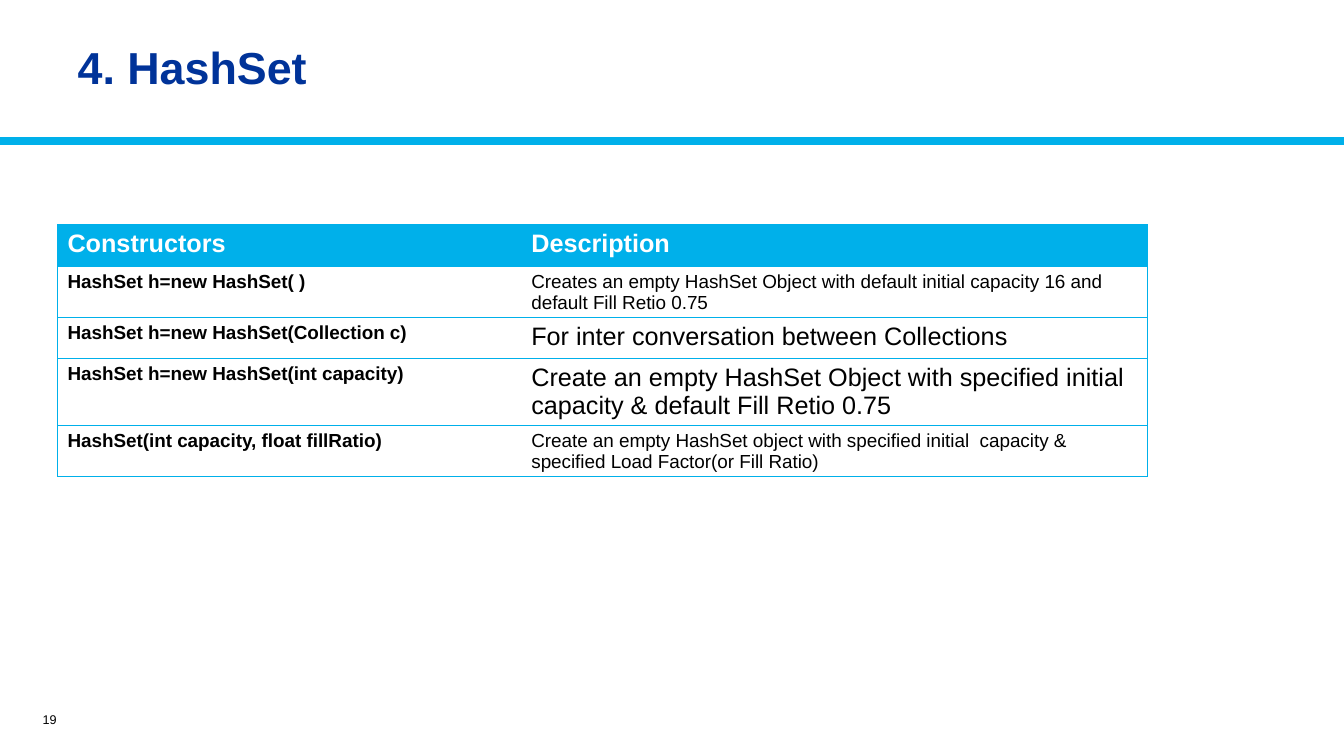
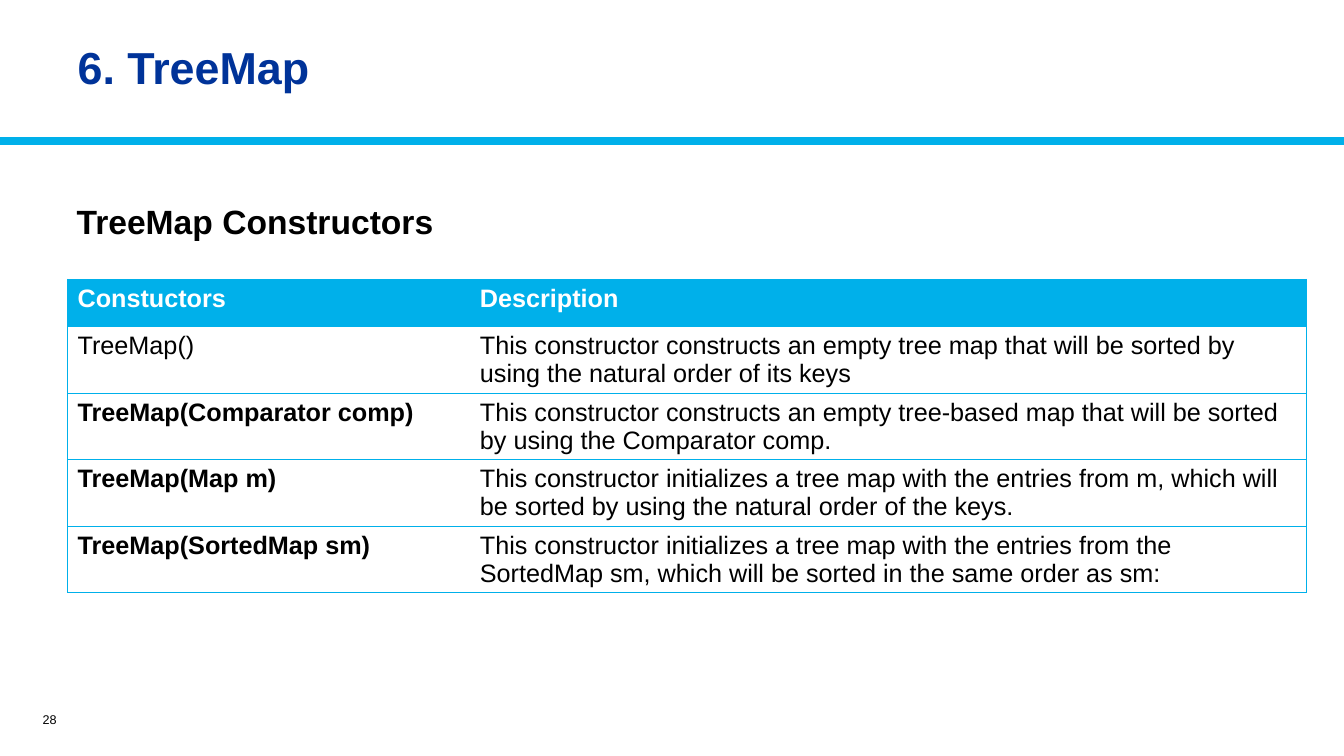
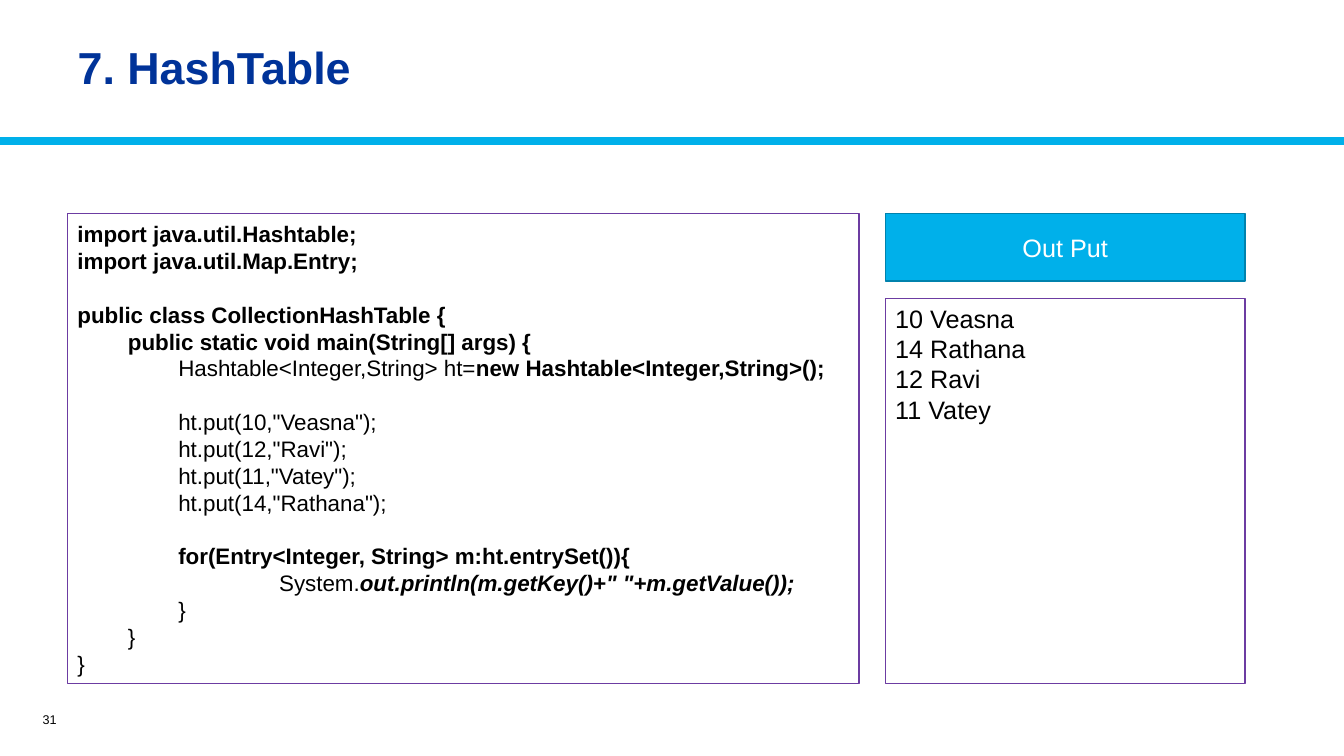
"""Builds three slides on collection classes."""
import dataclasses

import lxml.etree
import pptx
import pptx.dml.color
import pptx.enum.shapes
import pptx.enum.text
import pptx.oxml.ns
import pptx.util

Inches = pptx.util.Inches
Pt = pptx.util.Pt
qn = pptx.oxml.ns.qn
Align = pptx.enum.text.PP_ALIGN
Anchor = pptx.enum.text.MSO_ANCHOR


@dataclasses.dataclass(frozen=True)
class Theme:
    font: str = "Arial"
    sky: str = "00B0EA"
    deep: str = "0082AD"
    navy: str = "003399"
    plum: str = "6C3CA2"
    ink: str = "000000"
    paper: str = "FFFFFF"
    title: float = 32
    head: float = 24
    text: float = 18
    code: float = 16
    small: float = 13.5
    page: float = 9
    gap: float = 19.2
    plain: str = "{2D5ABB26-0587-4C30-8999-92F81FD0307C}"


LOOK = Theme()

SETS = [
    ("HashSet h=new HashSet( )",
     "Creates an empty HashSet Object with default initial capacity 16 and default Fill Retio 0.75",
     LOOK.small),
    ("HashSet h=new HashSet(Collection c)",
     "For inter conversation between Collections", LOOK.text),
    ("HashSet h=new HashSet(int capacity)",
     "Create an empty HashSet Object with specified initial capacity & default Fill Retio 0.75",
     LOOK.text),
    ("HashSet(int capacity, float fillRatio)",
     "Create an empty HashSet object with specified initial  capacity & specified Load Factor(or Fill Ratio)",
     LOOK.small),
]

MAPS = [
    ("TreeMap()", False,
     "This constructor constructs an empty tree map that will be sorted by using the natural order of its keys"),
    ("TreeMap(Comparator comp)", True,
     "This constructor constructs an empty tree-based map that will be sorted by using the Comparator comp."),
    ("TreeMap(Map m)", True,
     "This constructor initializes a tree map with the entries from m, which will be sorted by using the natural order of the keys."),
    ("TreeMap(SortedMap sm)", True,
     "This constructor initializes a tree map with the entries from the SortedMap sm, which will be sorted in the same order as sm:"),
]

BOLD = {"bold": True}
SLANT = {"bold": True, "italic": True}
CODE = [
    (0, 0, [("import java.util.Hashtable;", BOLD)]),
    (0, 0, [("import java.util.Map.Entry;", BOLD)]),
    (0, LOOK.gap, [("public class CollectionHashTable {", BOLD)]),
    (1, 0, [("public static void main(String[] args) {", BOLD)]),
    (2, 0, [("Hashtable<Integer,String> ht=", {}),
            ("new Hashtable<Integer,String>();", BOLD)]),
    (2, LOOK.gap, [('ht.put(10,"Veasna");', {})]),
    (2, 0, [('ht.put(12,"Ravi");', {})]),
    (2, 0, [('ht.put(11,"Vatey");', {})]),
    (2, 0, [('ht.put(14,"Rathana");', {})]),
    (2, LOOK.gap, [("for(Entry<Integer, String> m:ht.entrySet()){", BOLD)]),
    (4, 0, [("System.", {}),
            ('out.println(m.getKey()+" "+m.getValue());', SLANT)]),
    (2, 0, [("}", {})]),
    (1, 0, [("}", {})]),
    (0, 0, [("}", {})]),
]
NAMES = ["10 Veasna", "14 Rathana", "12 Ravi", "11 Vatey"]


def tint(code):
    """Turn a hex code into a colour."""
    return pptx.dml.color.RGBColor.from_string(code)


def write(para, words, size=LOOK.text, color=LOOK.ink, bold=False,
          italic=False, align=None, space=None):
    """Add one formatted run to a paragraph."""
    run = para.add_run()
    run.text = words
    font = run.font
    font.name, font.size = LOOK.font, Pt(size)
    font.bold, font.italic = bold, italic
    font.color.rgb = tint(color)
    if align is not None:
        para.alignment = align
    if space is not None:
        para.line_spacing = space


def line(frame, index):
    """Give the paragraph for a line, adding it when needed."""
    return frame.add_paragraph() if index else frame.paragraphs[0]


def place(shape, left, top, width, height):
    """Move and size a shape."""
    shape.left, shape.top = Inches(left), Inches(top)
    shape.width, shape.height = Inches(width), Inches(height)


def rule(deck, slide):
    """Draw the band under the title on the slide master."""
    y = Inches(1.4)
    band = slide.shapes.add_connector(
        pptx.enum.shapes.MSO_CONNECTOR.STRAIGHT, 0, y, deck.slide_width, y)
    band.line.color.rgb = tint(LOOK.sky)
    band.line.width = Pt(6)
    lxml.etree.SubElement(band.element.spPr, qn("a:effectLst"))
    band.element.nvCxnSpPr.cNvPr.set("id", "99")
    deck.slide_master.shapes.element.insert(2, band.element)


def start(deck, layout, title, page):
    """Add a slide with its title and page number."""
    slide = deck.slides.add_slide(deck.slide_layouts[layout])
    head = slide.shapes.title
    place(head, 0.67, 0.14, 12.02, 1.11)
    head.text_frame.vertical_anchor = Anchor.MIDDLE
    write(head.text_frame.paragraphs[0], title, size=LOOK.title,
          color=LOOK.navy, bold=True, align=Align.LEFT, space=0.9)
    foot = slide.shapes.add_textbox(
        Inches(0.09), Inches(6.99), Inches(0.57), Inches(0.3)).text_frame
    foot.word_wrap = True
    foot.vertical_anchor = Anchor.MIDDLE
    write(foot.paragraphs[0], page, size=LOOK.page, align=Align.RIGHT)
    return slide


def edge(cell, sides):
    """Draw thin borders on the given sides of a cell."""
    props = cell._tc.get_or_add_tcPr()
    for side in sides:
        ln = lxml.etree.SubElement(props, qn("a:ln" + side), w=str(Pt(0.5)))
        fill = lxml.etree.SubElement(ln, qn("a:solidFill"))
        lxml.etree.SubElement(fill, qn("a:srgbClr"), val=LOOK.sky)


def grid(slide, left, top, cols, highs, rows):
    """Add a two-column table from rows of (words, format) cells."""
    table = slide.shapes.add_table(
        len(rows), len(cols), Inches(left), Inches(top),
        Inches(sum(cols)), Inches(sum(highs))).table
    table._tbl.tblPr[0].text = LOOK.plain
    table.horz_banding = False
    for col, width in zip(table.columns, cols):
        col.width = Inches(width)
    for r, row in enumerate(rows):
        table.rows[r].height = Inches(highs[r])
        for c, (words, form) in enumerate(row):
            cell = table.cell(r, c)
            edge(cell, "RTB" if c else "LTB")
            cell.margin_bottom = Inches(0.01)
            cell.fill.solid()
            cell.fill.fore_color.rgb = tint(LOOK.paper if r else LOOK.sky)
            write(cell.text_frame.paragraphs[0], words, **form)


def heads(*names):
    """Make the header row of a table."""
    return [(name, {"color": LOOK.paper, "bold": True}) for name in names]


def box(slide, left, top, width, height, fill, edge_color, anchor):
    """Add a bordered box and give its text frame."""
    shape = slide.shapes.add_shape(
        pptx.enum.shapes.MSO_SHAPE.RECTANGLE, Inches(left), Inches(top),
        Inches(width), Inches(height))
    shape.shadow.inherit = False
    shape.fill.solid()
    shape.fill.fore_color.rgb = tint(fill)
    shape.line.color.rgb = tint(edge_color)
    shape.line.width = Pt(1)
    shape.text_frame.word_wrap = True
    shape.text_frame.vertical_anchor = anchor
    return shape.text_frame


def topic(slide, words):
    """Fill the body placeholder with one plain heading."""
    body = slide.placeholders[1]
    place(body, 0.66, 1.94, 12.05, 4.72)
    para = body.text_frame.paragraphs[0]
    props = para._p.get_or_add_pPr()
    props.set("marL", "0")
    props.set("indent", "0")
    lxml.etree.SubElement(props, qn("a:buNone"))
    para.space_before = Pt(0)
    write(para, words, size=LOOK.head, bold=True)


def listing(frame, lines):
    """Write code lines with their indents and gaps."""
    for i, (level, gap, runs) in enumerate(lines):
        para = line(frame, i)
        para.level = level
        para._p.get_or_add_pPr().set("marL", str(Inches(0.5 * level)))
        para.space_before = Pt(gap)
        for words, form in runs:
            write(para, words, size=LOOK.code, align=Align.LEFT, **form)


def main():
    """Build and save the deck."""
    deck = pptx.Presentation()
    deck.slide_width, deck.slide_height = Inches(13.33), Inches(7.5)

    slide = start(deck, 5, "4. HashSet", "19")
    rule(deck, slide)
    rows = [heads("Constructors", "Description")]
    rows += [[(name, {"size": LOOK.small, "bold": True}),
              (note, {"size": size})] for name, note, size in SETS]
    grid(slide, 0.57, 2.23, [4.6, 6.21], [0.41] * 5, rows)

    slide = start(deck, 1, "6. TreeMap", "28")
    topic(slide, "TreeMap Constructors")
    rows = [heads("Constuctors", "Description")]
    rows += [[(name, {"bold": bold}), (note, {})] for name, bold, note in MAPS]
    grid(slide, 0.67, 2.77, [3.99, 8.3], [0.47] + [0.64] * 4, rows)

    slide = start(deck, 5, "7. HashTable", "31")
    listing(box(slide, 0.67, 2.12, 7.85, 4.66, LOOK.paper, LOOK.plum,
                Anchor.MIDDLE), CODE)
    names = box(slide, 8.78, 2.96, 3.57, 3.82, LOOK.paper, LOOK.plum,
                Anchor.TOP)
    for i, name in enumerate(NAMES):
        write(line(names, i), name, align=Align.LEFT)
    label = box(slide, 8.78, 2.12, 3.57, 0.67, LOOK.sky, LOOK.deep,
                Anchor.MIDDLE)
    write(label.paragraphs[0], "Out Put", color=LOOK.paper,
          align=Align.CENTER)

    deck.save("out.pptx")


if __name__ == "__main__":
    main()
